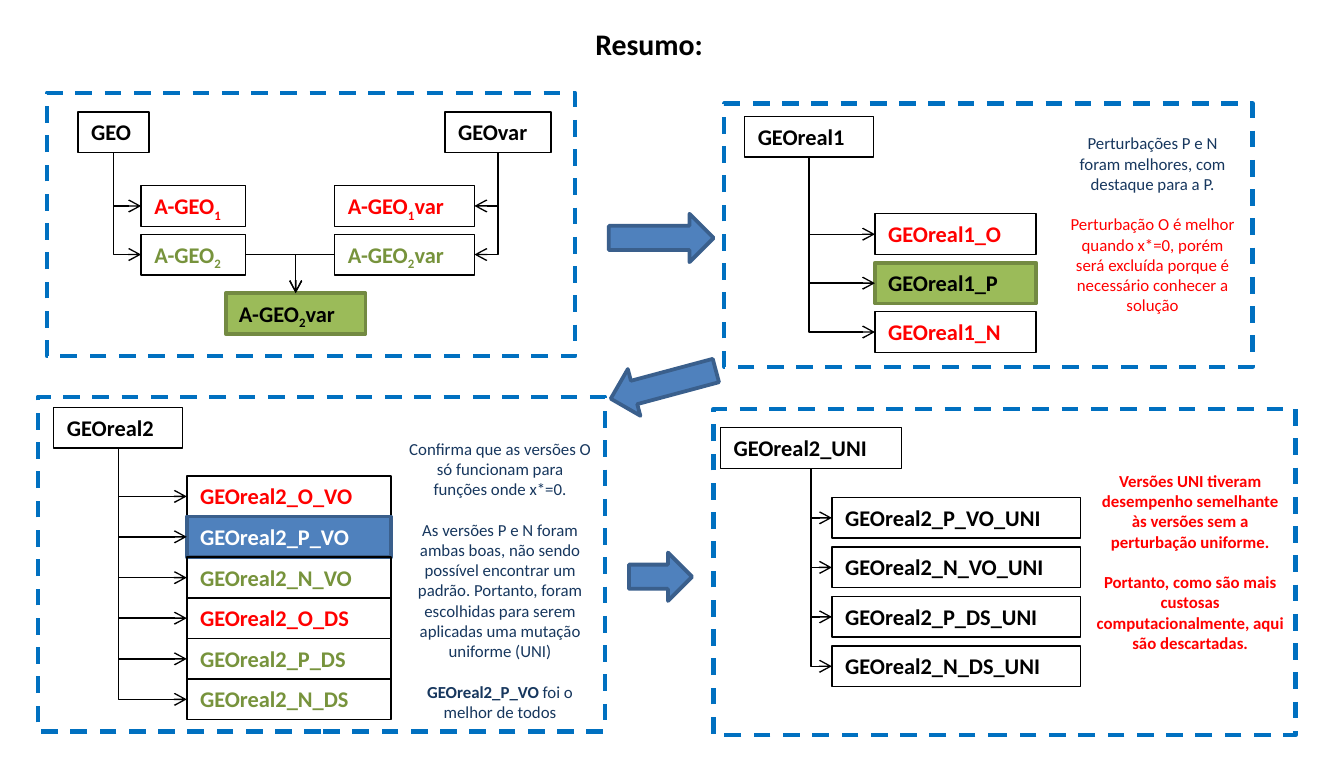
from dataclasses import dataclass
from typing import NamedTuple

from lxml.etree import SubElement
from pptx import Presentation
from pptx.dml.color import RGBColor
from pptx.enum.dml import MSO_LINE
from pptx.enum.shapes import MSO_CONNECTOR, MSO_SHAPE
from pptx.enum.text import MSO_ANCHOR, PP_ALIGN
from pptx.oxml.ns import qn
from pptx.util import Inches, Pt

WIDTH, HEIGHT = Inches(10), Inches(5.63)
COLUMNS, ROWS = 100, 56.3
LABEL_ROWS = 3.03
BLACK, WHITE, RED = "000000", "FFFFFF", "FF0000"
NAVY, GREEN, BLUE, DARK_BLUE = "17375E", "77933C", "4F81BD", "3A5F8C"


class Area(NamedTuple):
    left: float
    top: float
    width: float
    height: float


class Style(NamedTuple):
    ink: str
    fill: str | None = None
    edge: str = BLACK
    weight: float = 0.75


PLAIN, REJECTED, GOOD = Style(BLACK), Style(RED), Style(GREEN)
WINNER = Style(BLACK, "9BBB59", "738A42", 2)
SELECTED = Style(WHITE, BLUE, DARK_BLUE, 2)
OUTLINED = Style(BLACK, weight=1)


@dataclass
class Family:
    """A root label and the column of versions derived from it."""
    name: str
    root: tuple[float, float, float]
    column: tuple[float, float, float]
    step: float
    versions: list[tuple[str, Style]]


@dataclass
class Note:
    """Centred commentary; each paragraph is a list of text and bold pairs."""
    area: Area
    paragraphs: list[tuple[str, list[tuple[str, bool]]]]


@dataclass
class Panel:
    """A dashed frame around families and an optional note."""
    frame: Area
    families: list[Family]
    note: Note | None = None


PANELS = [
    Panel(Area(3.5, 6.9, 39.3, 19.6), [
        Family("GEO", (5.8, 8.33, 5.3), (10.5, 13.8, 7.75), 3.62,
               [("A-GEO~1~", REJECTED), ("A-GEO~2~", GOOD)]),
        Family("GEOvar", (33.1, 8.33, 7.9), (24.9, 13.8, 10.4), 3.62,
               [("A-GEO~1~var", REJECTED), ("A-GEO~2~var", GOOD)]),
    ]),
    Panel(Area(53.9, 7.7, 39.3, 19.6), [
        Family("GEOreal1", (55.4, 8.65, 9.6), (65.1, 15.9, 12), 3.64,
               [("GEOreal1_O", REJECTED), ("GEOreal1_P", WINNER), ("GEOreal1_N", REJECTED)]),
    ], Note(Area(78.4, 9.4, 14.7, 14.6), [
        (NAVY, [("Perturbações P e N foram melhores, com destaque para a P.", False)]),
        (RED, [("Perturbação O é melhor quando x*=0, porém será excluída porque é "
                "necessário conhecer a solução", False)]),
    ])),
    Panel(Area(53.1, 30.4, 43.3, 24.3), [
        Family("GEOreal2_UNI", (53.6, 31.8, 13.5), (61.9, 37, 18.5), 3.68,
               [("GEOreal2_P_VO_UNI", OUTLINED), ("GEOreal2_N_VO_UNI", PLAIN),
                ("GEOreal2_P_DS_UNI", PLAIN), ("GEOreal2_N_DS_UNI", PLAIN)]),
    ], Note(Area(80.5, 34.5, 16.1, 16.1), [
        (RED, [("Versões UNI tiveram desempenho semelhante às versões sem a "
                "perturbação uniforme.", True)]),
        (RED, [("Portanto, como são mais custosas computacionalmente, aqui são "
                "descartadas.", True)]),
    ])),
    Panel(Area(2.8, 29.5, 42.2, 24.9), [
        Family("GEOreal2", (4, 30.3, 9.6), (13.9, 35.4, 15.2), 3.02,
               [("GEOreal2_O_VO", REJECTED), ("GEOreal2_P_VO", SELECTED),
                ("GEOreal2_N_VO", GOOD), ("GEOreal2_O_DS", REJECTED),
                ("GEOreal2_P_DS", GOOD), ("GEOreal2_N_DS", GOOD)]),
    ], Note(Area(29.4, 32.1, 15.6, 22.2), [
        (NAVY, [("Confirma que as versões O só funcionam para funções onde x*=0.", False)]),
        (NAVY, [("As versões P e N foram ambas boas, não sendo possível encontrar um padrão. "
                 "Portanto, foram escolhidas para serem aplicadas uma mutação uniforme (UNI)",
                 False)]),
        (NAVY, [("GEOreal2_P_VO", True), (" foi o melhor de todos", False)]),
    ])),
]
BLOCK_ARROWS = [(Area(45.3, 15.9, 7.8, 3.6), 0), (Area(45.3, 26.8, 8.1, 3.6), 165),
                (Area(46.8, 41.1, 4.7, 3.6), 0)]


def place(area: Area) -> list[int]:
    """Turn grid columns and rows into slide lengths."""
    column, row = WIDTH / COLUMNS, HEIGHT / ROWS
    return [round(share * unit) for share, unit in zip(area, (column, row, column, row))]


def paint(target, color: str) -> None:
    """Give a fill a solid colour."""
    target.solid()
    target.fore_color.rgb = RGBColor.from_string(color)


def write(para, text: str, *, size: float, color: str, bold=False, subscript=False) -> None:
    """Append a formatted span to a paragraph."""
    span = para.add_run()
    span.text = text
    span.font.name, span.font.size, span.font.bold = "Calibri", Pt(size), bold
    paint(span.font.fill, color)
    if subscript:
        span._r.get_or_add_rPr().set("baseline", "-25000")


def add_box(shapes, kind, area: Area, style: Style):
    """Draw a preset shape in the given style."""
    box = shapes.add_shape(kind, *place(area))
    box.shadow.inherit = False
    if style.fill:
        paint(box.fill, style.fill)
    else:
        box.fill.background()
    paint(box.line.fill, style.edge)
    box.line.width = Pt(style.weight)
    return box


def add_label(shapes, text: str, left: float, top: float, width: float, style: Style) -> Area:
    """Draw a boxed name, with subscripts between tildes, and return its area."""
    area = Area(left, top, width, LABEL_ROWS)
    box = add_box(shapes, MSO_SHAPE.RECTANGLE, area, style)
    box.text_frame.word_wrap = True
    box.text_frame.vertical_anchor = MSO_ANCHOR.TOP
    para = box.text_frame.paragraphs[0]
    para.alignment = PP_ALIGN.LEFT
    for index, part in enumerate(text.split("~")):
        if part:
            write(para, part, size=12, color=style.ink, bold=True, subscript=index % 2 == 1)
    return area


def add_elbow(shapes, start: tuple, end: tuple, *, down_first: bool) -> None:
    """Draw a one-bend arrow between two grid points."""
    (x1, y1), (x2, y2) = start, end
    if down_first:
        across, down = abs(x2 - x1) / 2, abs(y2 - y1) / 2
        middle, centre = (x1 + x2) / 2, (y1 + y2) / 2
        corners = Area(middle - down, centre - across, middle + down, centre + across)
    else:
        corners = Area(x1, y1, x2, y2)
    elbow = shapes.add_connector(MSO_CONNECTOR.ELBOW, *place(corners))
    paint(elbow.line.fill, BLACK)
    elbow.line.width = Pt(0.75)
    properties = elbow.element.spPr
    properties.find(qn("a:prstGeom")).set("prst", "bentConnector2")
    SubElement(properties.find(qn("a:ln")), qn("a:tailEnd"), type="arrow")
    SubElement(properties, qn("a:effectLst"))
    if down_first:
        frame = properties.find(qn("a:xfrm"))
        frame.set("rot", "5400000")
        if x2 > x1:
            frame.set("flipV", "1")


def add_family(shapes, family: Family) -> Area:
    """Draw a root, its versions and their arrows; return the last version's area."""
    root = add_label(shapes, family.name, *family.root, PLAIN)
    start = (root.left + root.width / 2, root.top + root.height)
    left, top, width = family.column
    edge = left if left > start[0] else left + width
    for index, (name, style) in enumerate(family.versions):
        area = add_label(shapes, name, left, top + index * family.step, width, style)
        add_elbow(shapes, start, (edge, area.top + area.height / 2), down_first=True)
    return area


def add_text(shapes, area: Area, paragraphs: list, *, size: float) -> None:
    """Add a centred text box whose paragraphs stand one line apart."""
    frame = shapes.add_textbox(*place(area)).text_frame
    frame.word_wrap = True
    for index, (color, spans) in enumerate(paragraphs):
        para = frame.add_paragraph() if index else frame.paragraphs[0]
        para.alignment = PP_ALIGN.CENTER
        para.space_before = Pt(size * 1.22 if index else 0)
        for text, bold in spans:
            write(para, text, size=size, color=color, bold=bold)


def add_panel(slide, panel: Panel) -> None:
    """Draw one panel as a group, joining paired families in a merged version."""
    shapes = slide.shapes.add_group_shape().shapes
    ends = [add_family(shapes, family) for family in panel.families]
    if len(ends) == 2:
        merged = add_label(shapes, "A-GEO~2~var", 16.8, 21.8, 10.4, WINNER)
        target = (merged.left + merged.width / 2, merged.top)
        for area, edge in zip(ends, (ends[0].left + ends[0].width, ends[1].left)):
            add_elbow(shapes, (edge, area.top + area.height / 2), target, down_first=False)
    frame = add_box(shapes, MSO_SHAPE.RECTANGLE, panel.frame, Style(BLACK, None, "0070C0", 2.25))
    frame.line.dash_style = MSO_LINE.DASH
    if panel.note:
        add_text(shapes, panel.note.area, panel.note.paragraphs, size=9)


def main() -> None:
    """Build and save the summary slide."""
    deck = Presentation()
    deck.slide_width, deck.slide_height = WIDTH, HEIGHT
    slide = deck.slides.add_slide(deck.slide_layouts[6])
    for panel in PANELS:
        add_panel(slide, panel)
    for area, angle in BLOCK_ARROWS:
        add_box(slide.shapes, MSO_SHAPE.RIGHT_ARROW, area, SELECTED).rotation = angle
    add_text(slide.shapes, Area(40.5, 1.4, 15.6, 3.7), [(BLACK, [("Resumo:", True)])], size=16)
    deck.save("out.pptx")


if __name__ == "__main__":
    main()
